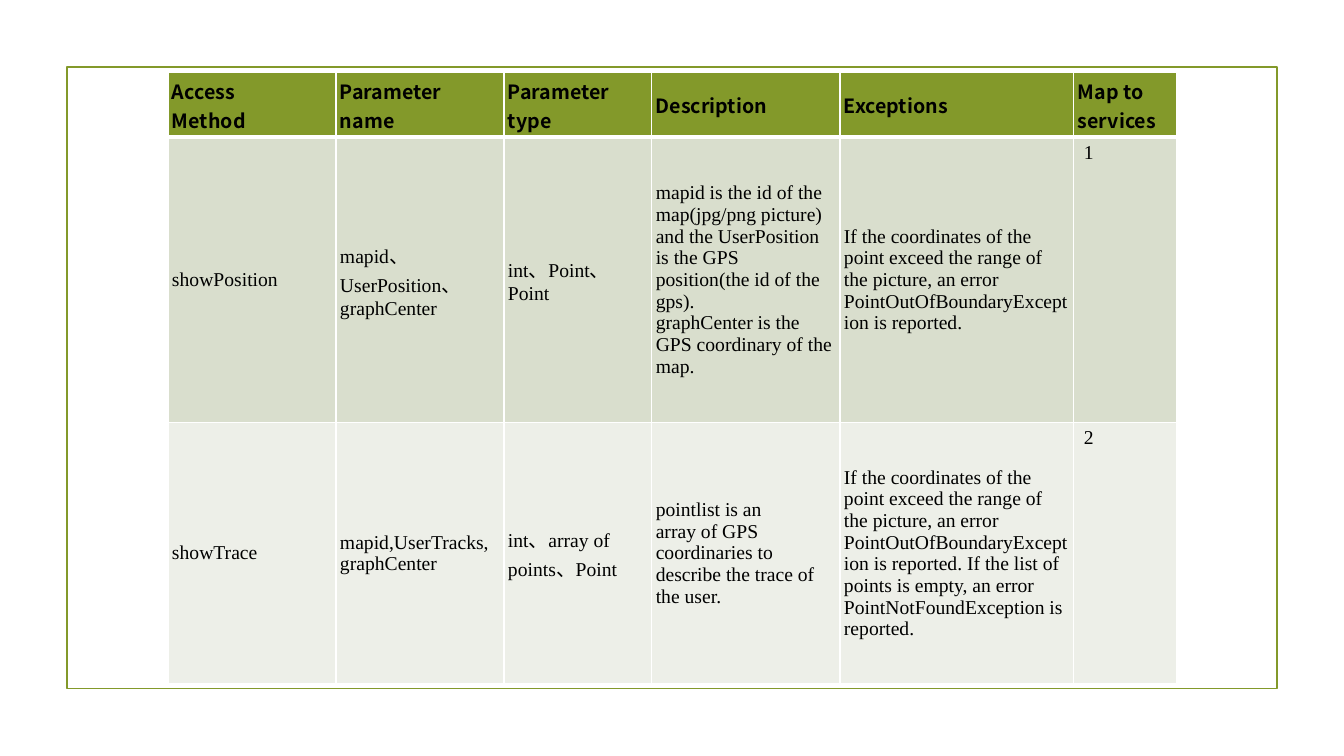
from lxml.etree import SubElement
from pptx import Presentation
from pptx.dml.color import RGBColor
from pptx.enum.shapes import MSO_SHAPE
from pptx.enum.text import MSO_ANCHOR
from pptx.oxml.ns import qn
from pptx.util import Inches, Pt

OLIVE = RGBColor(0x83, 0x99, 0x2A)
SAGE = RGBColor(0xD9, 0xDE, 0xCD)
MIST = RGBColor(0xED, 0xEF, 0xE8)
WHITE = RGBColor(0xFF, 0xFF, 0xFF)
BLACK = RGBColor(0x00, 0x00, 0x00)

HEADER_FONT = {"name": "Noto Sans CJK SC", "size": Pt(14), "bold": True}
BODY_FONT = {"name": "Times New Roman", "size": Pt(14), "bold": False}
TIGHT_CELL = {
    "vertical_anchor": MSO_ANCHOR.MIDDLE,
    "margin_left": Inches(0.04),
    "margin_top": Inches(0.04),
    "margin_right": Inches(0.04),
    "margin_bottom": Inches(0.03),
}

COL_WIDTHS = [5, 5, 4.4, 5.6, 6.96, 3.06]
ROW_HEIGHTS = [1.62, 8.5, 7.77]
ROW_FILLS = [OLIVE, SAGE, MIST]
RANGE_ERROR = ("If the coordinates of the point exceed the range of the picture, an error\n"
               "PointOutOfBoundaryException is reported.")
METHODS = [
    ["Access\nMethod", "Parameter name", "Parameter\ntype",
     "Description", "Exceptions", "Map to services"],
    ["showPosition", "mapid、UserPosition、graphCenter", "int、Point、Point",
     "mapid is the id of the map(jpg/png picture)\n"
     "and the UserPosition is the GPS position(the id of the gps).\n"
     "graphCenter is the GPS coordinary of the map.",
     RANGE_ERROR, "1"],
    ["showTrace", "mapid,UserTracks, graphCenter", "int、array of points、Point",
     "pointlist is an\narray of GPS coordinaries to describe the trace of the user.",
     RANGE_ERROR + " If the list of points is empty, an error\n"
     "PointNotFoundException is reported.", "2"],
]


def apply(obj, values):
    for name, value in values.items():
        setattr(obj, name, value)


class SlideBuilder:
    """Places elements on a grid of 40 columns by 22.5 rows of square units."""

    def __init__(self, prs):
        self.unit = prs.slide_width / 40
        self.slide = prs.slides.add_slide(prs.slide_layouts[6])

    def grid(self, *units):
        return [round(u * self.unit) for u in units]

    def frame(self, *box):
        sp = self.slide.shapes.add_shape(MSO_SHAPE.RECTANGLE, *self.grid(*box))
        sp.shadow.inherit = False
        sp.fill.background()
        sp.line.color.rgb = OLIVE
        sp.line.width = Pt(1.25)

    def borders(self, cell, bottom):
        tcPr = cell._tc.get_or_add_tcPr()
        for side, width in (("L", 1), ("R", 1), ("T", 1), ("B", bottom)):
            ln = SubElement(tcPr, qn(f"a:ln{side}"), w=str(Pt(width)))
            fill = SubElement(ln, qn("a:solidFill"))
            SubElement(fill, qn("a:srgbClr"), val=str(WHITE))

    def cell(self, cell, text, fill, font, bottom):
        self.borders(cell, bottom)
        cell.fill.solid()
        cell.fill.fore_color.rgb = fill
        cell.text = text
        for p in cell.text_frame.paragraphs:
            for r in p.runs:
                apply(r.font, font)
                r.font.color.rgb = BLACK

    def table(self, left, top, widths, heights, rows):
        box = self.grid(left, top, sum(widths), sum(heights))
        table = self.slide.shapes.add_table(len(heights), len(widths), *box).table
        for col, width in zip(table.columns, self.grid(*widths)):
            col.width = width
        for row, height in zip(table.rows, self.grid(*heights)):
            row.height = height
        for i, texts in enumerate(rows):
            font = BODY_FONT if i else HEADER_FONT
            # The thick header rule is shared with the row below it.
            bottom = 1 if i else 3
            for j, text in enumerate(texts):
                cell = table.cell(i, j)
                self.cell(cell, text, ROW_FILLS[i], font, bottom)
                if i == 0 or j < len(widths) - 1:
                    apply(cell, TIGHT_CELL)
                if i == 1:
                    cell._tc.tcPr.find(qn("a:lnT")).set("w", str(Pt(3)))


def main():
    prs = Presentation()
    prs.slide_width, prs.slide_height = Inches(13.33), Inches(7.5)
    builder = SlideBuilder(prs)
    builder.frame(2, 2, 36, 18.5)
    builder.table(5, 2.16, COL_WIDTHS, ROW_HEIGHTS, METHODS)
    prs.save("out.pptx")


if __name__ == "__main__":
    main()
